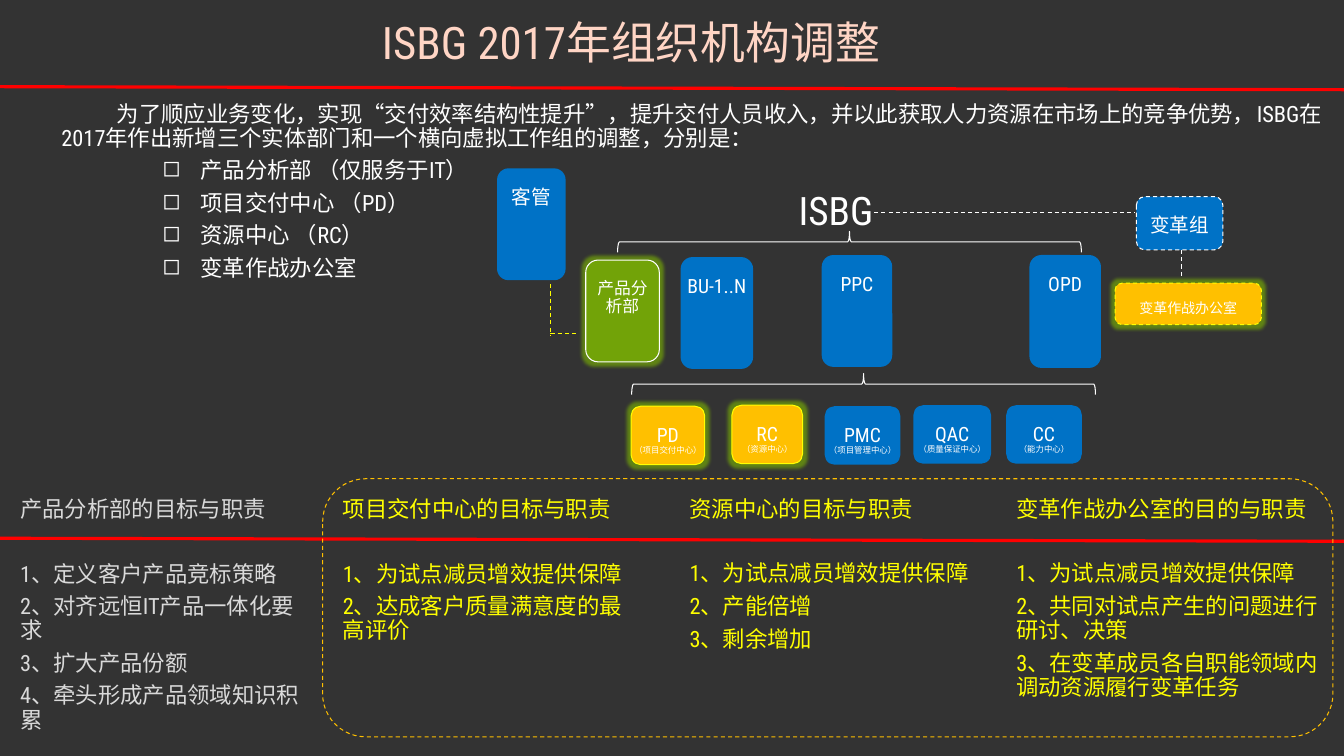
from dataclasses import dataclass

from lxml.etree import SubElement
from pptx import Presentation
from pptx.dml.color import RGBColor
from pptx.enum.dml import MSO_LINE
from pptx.enum.shapes import MSO_CONNECTOR, MSO_SHAPE
from pptx.enum.text import MSO_ANCHOR, MSO_AUTO_SIZE, PP_ALIGN
from pptx.oxml.ns import qn
from pptx.util import Inches, Pt

STRAIGHT = MSO_CONNECTOR.STRAIGHT
ROUNDED = MSO_SHAPE.ROUNDED_RECTANGLE
BRACE = MSO_SHAPE.LEFT_BRACE
DASH = MSO_LINE.DASH
TOP = MSO_ANCHOR.TOP
NO_AUTOFIT = MSO_AUTO_SIZE.NONE
LEFT, CENTER = PP_ALIGN.LEFT, PP_ALIGN.CENTER

FONT = "Roboto Condensed"
WHITE, YELLOW, RED, GRAY = "FFFFFF", "FFFF00", "FF0000", "D9D9D9"
BLUE, AMBER, GREEN = "0072C6", "FFC000", "7FBA00"
BACKGROUND, TITLE_COLOR = "333333", "FFD5C5"


@dataclass(frozen=True)
class Unit:
    name: str
    left: float
    top: float
    width: float
    height: float
    fill: str = BLUE
    border: str = ""
    dashed: bool = False
    glow: bool = False
    opacity: int = 100
    size: float = 14
    caption: str = ""


@dataclass(frozen=True)
class Line:
    start: tuple[float, float]
    end: tuple[float, float]
    color: str
    weight: float = 0.75
    dashed: bool = True


@dataclass(frozen=True)
class Duties:
    heading: str
    left: float
    width: float
    height: float
    color: str
    items: tuple[str, ...]


RULES = [
    Line((0, 0.86), (13.33, 0.89), RED, 2.25, False),
    Line((0, 5.34), (13.33, 5.37), RED, 2.25, False),
]
LINKS = [
    Line((8.67, 2.11), (11.26, 2.11), WHITE),
    Line((11.72, 2.48), (11.72, 2.75), WHITE),
    Line((5.46, 3.31), (5.74, 3.31), YELLOW),
    Line((5.46, 2.82), (5.46, 3.33), YELLOW),
]
UNITS = [
    Unit("客管", 4.93, 1.67, 0.68, 1.11),
    Unit("产品分析部", 5.81, 2.58, 0.73, 1.01, GREEN, WHITE, glow=True, opacity=60, size=12),
    Unit("BU-1..N", 6.75, 2.55, 0.72, 1.11),
    Unit("PPC", 8.15, 2.53, 0.7, 1.11),
    Unit("OPD", 10.21, 2.53, 0.71, 1.12),
    Unit("变革组", 11.27, 1.95, 0.86, 0.53, BLUE, WHITE, dashed=True),
    Unit("变革作战办公室", 11.06, 2.81, 1.45, 0.41, AMBER, YELLOW, dashed=True, glow=True, size=10),
    Unit("PD", 6.26, 4.03, 0.73, 0.58, AMBER, YELLOW, glow=True, caption="（项目交付中心）"),
    Unit("RC", 7.26, 4.02, 0.7, 0.58, AMBER, YELLOW, glow=True, caption="（资源中心）"),
    Unit("PMC", 8.18, 4.03, 0.75, 0.58, caption="（项目管理中心）"),
    Unit("QAC", 9.06, 4.02, 0.77, 0.58, caption="（质量保证中心）"),
    Unit("CC", 9.98, 4.02, 0.75, 0.58, caption="（能力中心）"),
]
BRACES = [(8.32, 0.1), (8.46, 1.51)]
DUTIES = [
    Duties("产品分析部的目标与职责", 0, 3.2, 2.68, GRAY,
           ("1、定义客户产品竞标策略", "2、对齐远恒IT产品一体化要求",
            "3、扩大产品份额", "4、牵头形成产品领域知识积累")),
    Duties("项目交付中心的目标与职责", 3.2, 3.36, 1.79, YELLOW,
           ("1、为试点减员增效提供保障", "2、达成客户质量满意度的最高评价")),
    Duties("资源中心的目标与职责", 6.64, 3.24, 1.87, YELLOW,
           ("1、为试点减员增效提供保障", "2、产能倍增", "3、剩余增加")),
    Duties("变革作战办公室的目的与职责", 9.88, 3.57, 2.36, YELLOW,
           ("1、为试点减员增效提供保障", "2、共同对试点产生的问题进行研讨、决策",
            "3、在变革成员各自职能领域内调动资源履行变革任务")),
]
INTRODUCTION = (
    "为了顺应业务变化，实现“交付效率结构性提升”，提升交付人员收入，并以此获取人力资源在市场上的竞争优势，"
    "ISBG在2017年作出新增三个实体部门和一个横向虚拟工作组的调整，分别是："
)
NEW_UNITS = ["产品分析部 （仅服务于IT）", "项目交付中心 （PD）", "资源中心 （RC）", "变革作战办公室"]


def rgb(color: str) -> RGBColor:
    return RGBColor.from_string(color)


def write(text_frame, lines, sizes, color, align=LEFT, after=6, inset=0.2, wrap=True):
    text_frame.auto_size = NO_AUTOFIT
    text_frame.word_wrap = wrap
    text_frame.vertical_anchor = TOP
    text_frame.margin_left = text_frame.margin_right = Inches(inset)
    text_frame.margin_top = text_frame.margin_bottom = Inches(0.16)
    text_frame.text = "\n".join(lines)
    for paragraph, size in zip(text_frame.paragraphs, sizes):
        paragraph.alignment = align
        paragraph.line_spacing = 0.9
        paragraph.space_before = Pt(0)
        paragraph.space_after = Pt(after)
        for run in paragraph.runs:
            run.font.name = FONT
            run.font.size = Pt(size)
            run.font.color.rgb = rgb(color)


def add_text(slide, box, lines, size, color, wrap=True):
    shape = slide.shapes.add_textbox(*map(Inches, box))
    write(shape.text_frame, lines, [size] * len(lines), color, wrap=wrap)
    return shape.text_frame.paragraphs


def set_indent(paragraph, margin: float, first_line: float, bullet: str = "") -> None:
    properties = paragraph._p.get_or_add_pPr()
    properties.set("marL", str(Inches(margin)))
    properties.set("indent", str(Inches(first_line)))
    if bullet:
        SubElement(properties, qn("a:buChar")).set("char", bullet)


def set_line(line, color: str, weight: float = 0.75, dashed: bool = False) -> None:
    line.color.rgb = rgb(color)
    line.width = Pt(weight)
    if dashed:
        line.dash_style = DASH


def add_outline(slide, kind, box, color: str = "", dashed: bool = False):
    shape = slide.shapes.add_shape(kind, *map(Inches, box))
    shape.shadow.inherit = False
    shape.fill.background()
    if color:
        set_line(shape.line, color, dashed=dashed)
    else:
        shape.line.fill.background()
    return shape


def add_line(slide, line: Line) -> None:
    connector = slide.shapes.add_connector(STRAIGHT, *map(Inches, line.start + line.end))
    set_line(connector.line, line.color, line.weight, line.dashed)
    SubElement(connector._element.spPr, qn("a:effectLst"))


def set_alpha(color_element, percent: int) -> None:
    SubElement(color_element, qn("a:alpha")).set("val", str(percent * 1000))


def add_unit(slide, unit: Unit) -> None:
    box = (unit.left, unit.top, unit.width, unit.height)
    shape = add_outline(slide, ROUNDED, box, unit.border, unit.dashed)
    shape.fill.solid()
    shape.fill.fore_color.rgb = rgb(unit.fill)
    properties = shape._element.spPr
    if unit.opacity < 100:
        set_alpha(properties.find(qn("a:solidFill")).find(qn("a:srgbClr")), unit.opacity)
    if unit.glow:
        glow = SubElement(properties.find(qn("a:effectLst")), qn("a:glow"))
        glow.set("rad", str(Pt(5)))
        glow_color = SubElement(glow, qn("a:srgbClr"))
        glow_color.set("val", GREEN)
        set_alpha(glow_color, 60)
    lines = [unit.name, unit.caption] if unit.caption else [unit.name]
    write(shape.text_frame, lines, [unit.size, 6], WHITE, CENTER, after=0, inset=0)


def add_duties(slide, duties: Duties) -> None:
    box = (duties.left, 4.78, duties.width, duties.height)
    paragraphs = add_text(slide, box, [duties.heading, *duties.items], 16, duties.color)
    paragraphs[1].space_before = Pt(23)


def main() -> None:
    presentation = Presentation()
    presentation.slide_width, presentation.slide_height = Inches(13.33), Inches(7.5)
    slide = presentation.slides.add_slide(presentation.slide_layouts[5])
    slide.background.fill.solid()
    slide.background.fill.fore_color.rgb = rgb(BACKGROUND)

    title = slide.shapes.title
    title.left, title.top, title.width, title.height = map(Inches, (2.46, 0.05, 7.6, 0.81))
    write(title.text_frame, ["ISBG 2017年组织机构调整"], [32], TITLE_COLOR, CENTER)

    introduction, *bullets = add_text(
        slide, (0.41, 0.86, 12.9, 3.66), [INTRODUCTION, *NEW_UNITS], 16, WHITE)
    set_indent(introduction, 0, 0.55)
    for paragraph in bullets:
        set_indent(paragraph, 1.38, -0.38, "◻")

    add_text(slide, (7.72, 1.74, 1.15, 0.75), ["ISBG"], 28, WHITE, wrap=False)
    for left, top in BRACES:
        add_outline(slide, BRACE, (left, top, 0.21, 4.6), WHITE).rotation = 90
    for line in LINKS:
        add_line(slide, line)
    for unit in UNITS:
        add_unit(slide, unit)
    for duties in DUTIES:
        add_duties(slide, duties)
    for line in RULES:
        add_line(slide, line)
    add_outline(slide, ROUNDED, (3.2, 4.75, 10.02, 2.56), AMBER, dashed=True)
    presentation.save("out.pptx")


if __name__ == "__main__":
    main()
